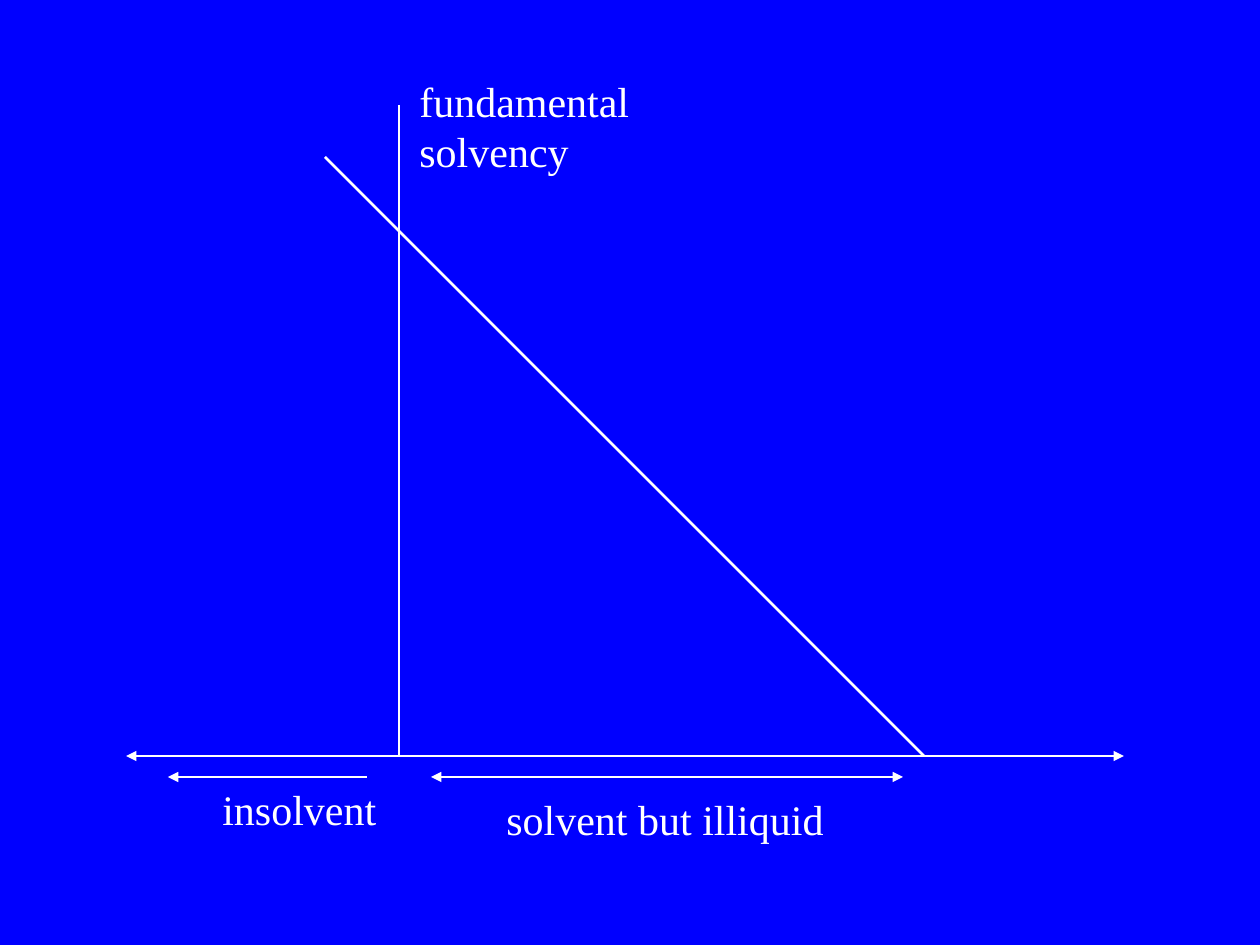
from dataclasses import dataclass

from lxml import etree
from pptx import Presentation
from pptx import util as u
from pptx.dml.color import RGBColor
from pptx.enum import shapes, text
from pptx.oxml.ns import qn

PX = 914400 / 126  # EMU in one px


@dataclass(frozen=True)
class Theme:
    back: RGBColor = RGBColor(0, 0, 255)
    ink: RGBColor = RGBColor(255, 255, 255)
    face: str = "Times New Roman"
    size: u.Pt = u.Pt(24)
    thin: u.Pt = u.Pt(0.75)
    bold: u.Pt = u.Pt(1.5)


THEME = Theme()


def emu(*vals):
    return [u.Emu(round(v * PX)) for v in vals]


def style(obj, **vals):
    for key, val in vals.items():
        setattr(obj, key, val)


def draw_line(slide, box, start, end, width, ends=()):
    """Draw a line between two points of the box; ends names its arrowheads."""
    left, top = box[:2]
    pts = emu(left + start[0], top + start[1], left + end[0], top + end[1])
    line = slide.shapes.add_connector(shapes.MSO_CONNECTOR.STRAIGHT, *pts)
    line.line.color.rgb = THEME.ink
    line.line.width = width
    stroke = line.line._get_or_add_ln()
    for name in ends:
        etree.SubElement(stroke, qn(f"a:{name}"), type="triangle")
    etree.SubElement(line._element.spPr, qn("a:effectLst"))


def add_label(slide, box, at, lines):
    """Place a label at left, top, width, height within the box."""
    x, y, w, h = at
    frame = slide.shapes.add_textbox(
        *emu(box[0] + x, box[1] + y, w, h)).text_frame
    style(frame, word_wrap=False, auto_size=text.MSO_AUTO_SIZE.SHAPE_TO_FIT_TEXT)
    frame.text = "\n".join(lines)
    for para in frame.paragraphs:
        for run in para.runs:
            style(run.font, name=THEME.face, size=THEME.size)
            run.font.color.rgb = THEME.ink


def draw_graph(slide, box):
    """Solvency graph: axes, falling line and the zones below the base."""
    wide, base = box[2:]
    zero, cross = 273, 798  # where the upright axis and the line meet the base
    rise = 599              # the line falls at 45 degrees
    zone = base + 21
    both = ("headEnd", "tailEnd")

    # Axes and solvency line
    draw_line(slide, box, (0, base), (wide, base), THEME.bold, both)
    draw_line(slide, box, (cross, base), (cross - rise, base - rise), THEME.bold)
    draw_line(slide, box, (zero, 0), (zero, base), THEME.thin)

    # Zone arrows
    draw_line(slide, box, (zero - 32, zone), (42, zone), THEME.thin, both[1:])
    draw_line(slide, box, (zero + 32, zone), (cross - 21, zone), THEME.thin, both)

    # Labels
    add_label(slide, box, (84, zone, 179, 63), ["insolvent"])
    add_label(slide, box, (368, zone + 10, 343, 63), ["solvent but illiquid"])
    add_label(slide, box, (281, -36, 237, 113), ["fundamental", "solvency"])


def main():
    deck = Presentation()
    deck.slide_width, deck.slide_height = emu(1260, 945)
    slide = deck.slides.add_slide(deck.slide_layouts[6])
    fill = slide.background.fill
    fill.solid()
    fill.fore_color.rgb = THEME.back
    draw_graph(slide, (126, 105, 998, 651))
    deck.save("out.pptx")


if __name__ == "__main__":
    main()
